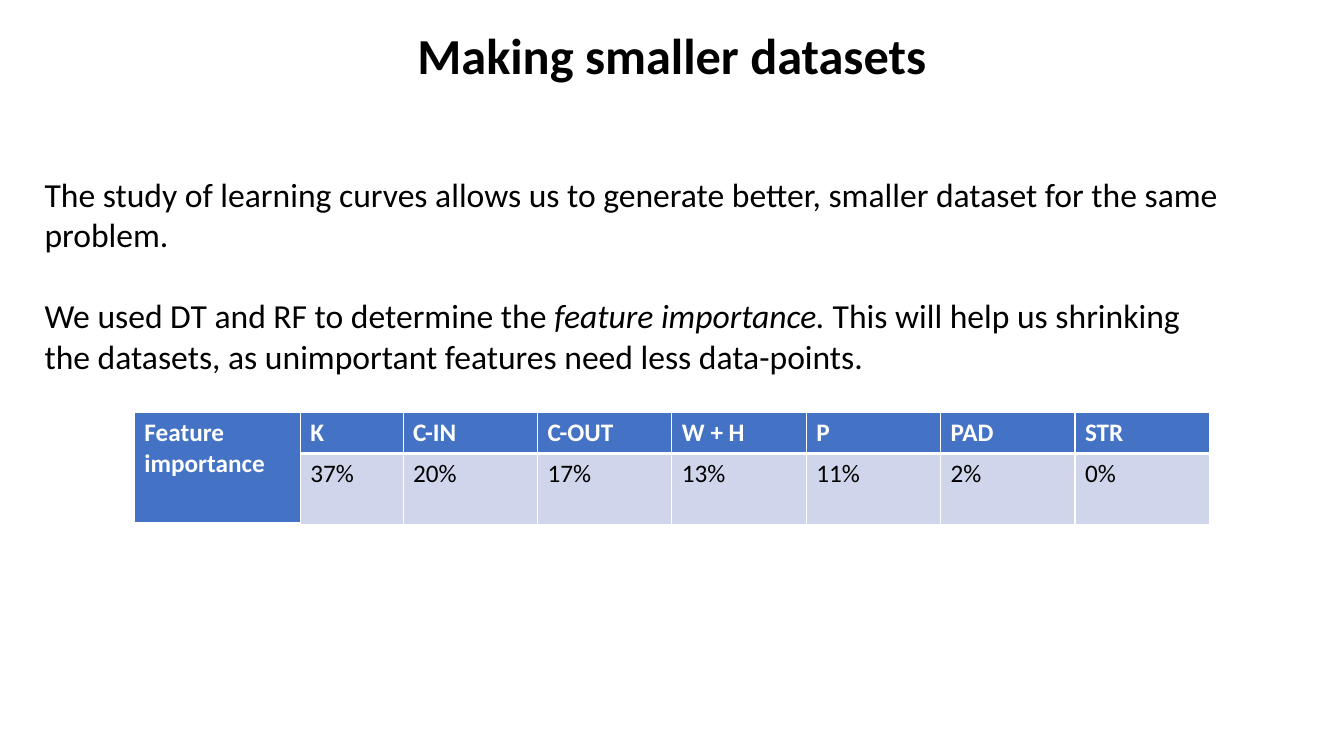
"""Build a slide on making smaller datasets, with a feature importance table."""
from dataclasses import dataclass

from lxml import etree
from pptx import Presentation
from pptx.dml.color import RGBColor
from pptx.enum.text import MSO_ANCHOR, PP_ALIGN
from pptx.oxml.ns import qn
from pptx.util import Pt

PX = 9525
LEFT, CENTER = PP_ALIGN.LEFT, PP_ALIGN.CENTER
TOP = MSO_ANCHOR.TOP


@dataclass(frozen=True)
class Theme:
    """Colours, font and point sizes of the slide."""
    ink: str = "000000"
    white: str = "FFFFFF"
    header: str = "4472C4"
    band: str = "CFD5EA"
    font: str = "Calibri"
    title_size: int = 36
    body_size: int = 24
    table_size: int = 18
    thin: int = 1
    thick: int = 3


THEME = Theme()
TITLE = "Making smaller datasets"
BODY = [
    [("The study of learning curves allows us to generate better, "
      "smaller dataset for the same problem.", False)],
    [("We used DT and RF to determine the ", False),
     ("feature importance. ", True),
     ("This will help us shrinking the datasets, "
      "as unimportant features need less data-points.", False)],
]
ROW_LABEL = "Feature importance"
IMPORTANCE = {"K": "37%", "C-IN": "20%", "C-OUT": "17%", "W + H": "13%",
              "P": "11%", "PAD": "2%", "STR": "0%"}
COLUMNS = [158, 98] + [128] * 6
ROW_HEIGHT = 39


def apply(target, values):
    """Set each named attribute of the target."""
    for name, value in values.items():
        setattr(target, name, value)


def add_span(para, text, size, color=THEME.ink, **values):
    """Append a formatted run to a paragraph."""
    span = para.add_run()
    span.text = text
    apply(span.font, {"name": THEME.font, "size": Pt(size), **values})
    span.font.color.rgb = RGBColor.from_string(color)


def add_text(page, area, paragraphs, size, para_format, **values):
    """Add a wrapped text box of paragraphs made of (text, italic) spans."""
    box = page.shapes.add_textbox(*(length * PX for length in area))
    frame = box.text_frame
    apply(frame, {"word_wrap": True, "vertical_anchor": TOP})
    for index, spans in enumerate(paragraphs):
        para = frame.add_paragraph() if index else frame.paragraphs[0]
        apply(para, para_format)
        for text, italic in spans:
            add_span(para, text, size, italic=italic, **values)


def set_borders(cell, widths):
    """Draw white borders with the given point width on each side."""
    properties = cell._tc.get_or_add_tcPr()
    for side, width in widths.items():
        line = etree.SubElement(properties, qn(f"a:ln{side}"), w=str(Pt(width)))
        fill = etree.SubElement(line, qn("a:solidFill"))
        etree.SubElement(fill, qn("a:srgbClr"), val=THEME.white)


def fill_cell(cell, text, is_header):
    """Style one table cell as a header or as a value."""
    widths = dict.fromkeys("LRTB", THEME.thin)
    widths["B" if is_header else "T"] = THEME.thick
    set_borders(cell, widths)
    cell.fill.solid()
    cell.fill.fore_color.rgb = RGBColor.from_string(
        THEME.header if is_header else THEME.band)
    if text:
        add_span(cell.text_frame.paragraphs[0], text, THEME.table_size,
                 THEME.white if is_header else THEME.ink, bold=is_header)


def add_importance_table(page, left, top):
    """Add the feature table with its label merged over both rows."""
    rows = [[ROW_LABEL, *IMPORTANCE], ["", *IMPORTANCE.values()]]
    table = page.shapes.add_table(
        len(rows), len(COLUMNS), left * PX, top * PX,
        sum(COLUMNS) * PX, len(rows) * ROW_HEIGHT * PX).table
    for column, width in zip(table.columns, COLUMNS):
        column.width = width * PX
    for row_index, texts in enumerate(rows):
        table.rows[row_index].height = ROW_HEIGHT * PX
        for column_index, text in enumerate(texts):
            fill_cell(table.cell(row_index, column_index), text,
                      row_index == 0 or column_index == 0)
    table.cell(0, 0).merge(table.cell(1, 0))


def main():
    """Build and save the deck."""
    deck = Presentation()
    apply(deck, {"slide_width": 1280 * PX, "slide_height": 720 * PX})
    page = deck.slides.add_slide(deck.slide_layouts[6])
    add_text(page, (0, 25, 1280, 93), [[(TITLE, False)]], THEME.title_size,
             {"alignment": CENTER, "line_spacing": 0.9, "space_before": Pt(10)},
             bold=True)
    add_text(page, (33, 161, 1149, 203), BODY, THEME.body_size,
             {"alignment": LEFT, "space_after": Pt(29)})
    add_importance_table(page, 128, 393)
    deck.save("out.pptx")


if __name__ == "__main__":
    main()
